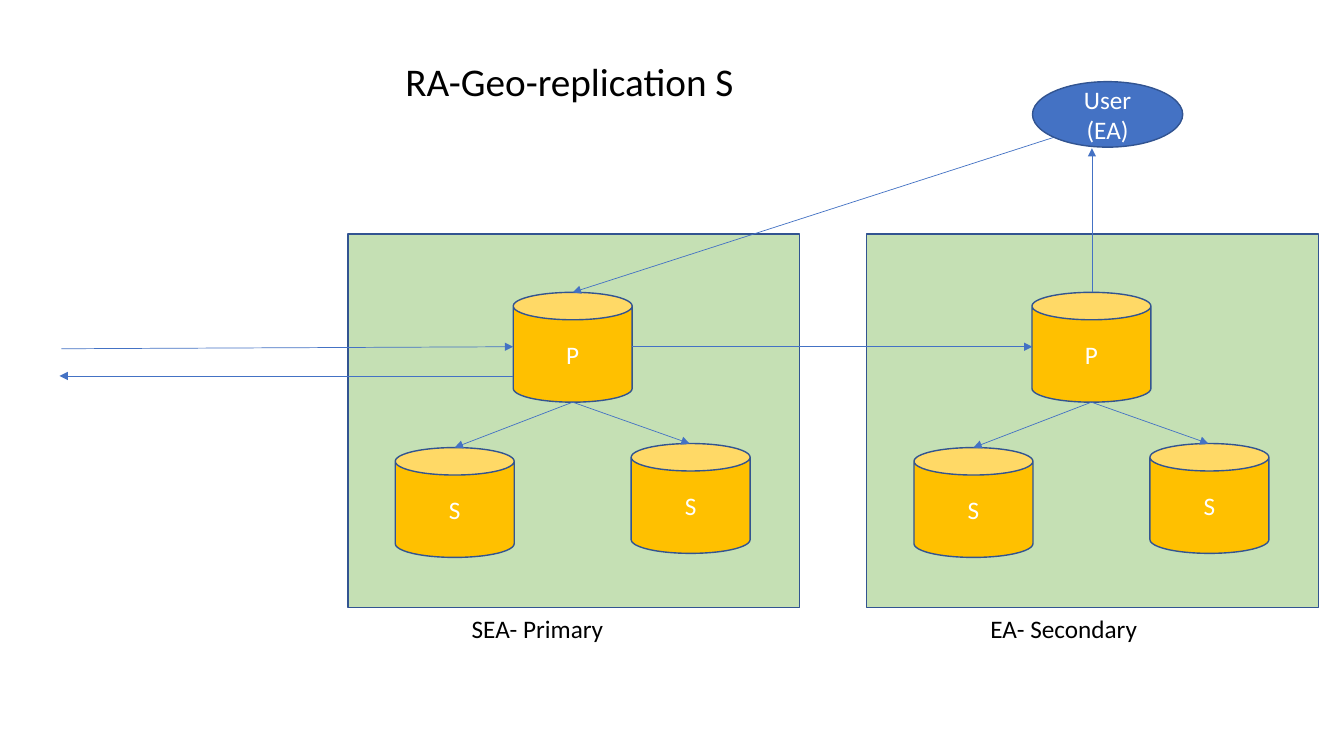
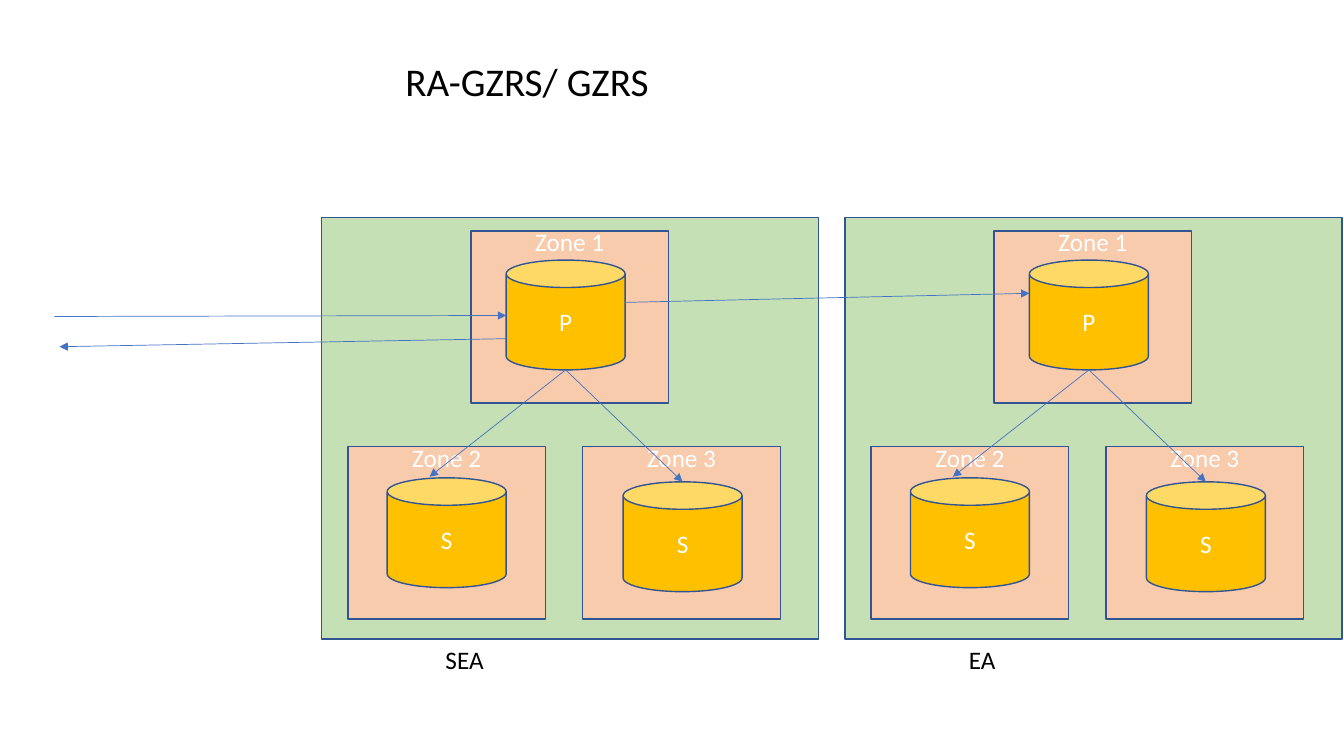
from dataclasses import dataclass, replace

from lxml import etree
from pptx import Presentation
from pptx.dml.color import RGBColor
from pptx.enum.shapes import MSO_CONNECTOR, MSO_SHAPE
from pptx.enum.text import MSO_ANCHOR, MSO_AUTO_SIZE, PP_ALIGN
from pptx.oxml.ns import qn
from pptx.slide import Slide
from pptx.text.text import TextFrame
from pptx.util import Inches, Length, Pt

RECTANGLE, CAN, ELLIPSE = MSO_SHAPE.RECTANGLE, MSO_SHAPE.CAN, MSO_SHAPE.OVAL
STRAIGHT = MSO_CONNECTOR.STRAIGHT
TOP, MIDDLE = MSO_ANCHOR.TOP, MSO_ANCHOR.MIDDLE
LEFT, CENTER = PP_ALIGN.LEFT, PP_ALIGN.CENTER
GROW = MSO_AUTO_SIZE.SHAPE_TO_FIT_TEXT

FONT = "Calibri"
BLACK, WHITE = "000000", "FFFFFF"
BLUE, OUTLINE = "4472C4", "325491"
GREEN, PEACH, GOLD = "C5E0B4", "F8CBAD", "FFC000"
TITLE_SIZE, TEXT_SIZE = 28, 18
TITLE_ONLY = 5
CAN_WIDTH, CAN_HEIGHT = 1.18, 1.09
ZONE_WIDTH, ZONE_HEIGHT = 1.96, 1.71
ZONE_LABEL_SPACING = 0.87


@dataclass(frozen=True)
class Box:
    left: float
    top: float
    width: float
    height: float

    def lengths(self) -> tuple[Length, ...]:
        return tuple(
            Inches(value)
            for value in (self.left, self.top, self.width, self.height)
        )

    def shifted(self, distance: float) -> "Box":
        return replace(self, left=self.left + distance)


@dataclass(frozen=True)
class Node:
    text: str
    left: float
    top: float


@dataclass(frozen=True)
class Arrow:
    start: tuple[float, float]
    end: tuple[float, float]


@dataclass(frozen=True)
class Region:
    area: Box
    label: Box
    zones: tuple[Node, ...]
    stores: tuple[Node, ...]
    fan_start: tuple[float, float]
    fan_ends: tuple[tuple[float, float], ...]


@dataclass(frozen=True)
class Diagram:
    title: str
    region: Region
    region_names: tuple[str, ...]
    region_step: float
    arrows: tuple[Arrow, ...]


TITLE_BOX = Box(3.92, 0.52, 5.17, 0.57)
USER_BOX = Box(10.24, 0.81, 1.49, 0.65)

GEO_DIAGRAM = Diagram(
    title="RA-Geo-replication S",
    region=Region(
        area=Box(3.45, 2.32, 4.48, 3.71),
        label=Box(4.58, 6.04, 2.39, 0.4),
        zones=(),
        stores=(Node("P", 5.09, 2.9), Node("S", 3.92, 4.44), Node("S", 6.26, 4.4)),
        fan_start=(5.68, 3.99),
        fan_ends=((4.51, 4.44), (6.84, 4.4)),
    ),
    region_names=("SEA- Primary", "EA- Secondary"),
    region_step=5.145,
    arrows=(
        Arrow((0.61, 3.46), (5.09, 3.44)),
        Arrow((5.09, 3.73), (0.59, 3.73)),
        Arrow((6.27, 3.44), (10.24, 3.44)),
        Arrow((10.83, 2.9), (10.83, 1.47)),
        Arrow((10.46, 1.36), (5.68, 2.9)),
    ),
)

ZONE_DIAGRAM = Diagram(
    title="RA-GZRS/ GZRS",
    region=Region(
        area=Box(3.19, 2.16, 4.93, 4.18),
        label=Box(4.32, 6.34, 2.39, 0.4),
        zones=(
            Node("Zone 1", 4.67, 2.29),
            Node("Zone 2", 3.45, 4.43),
            Node("Zone 3", 5.78, 4.43),
        ),
        stores=(Node("P", 5.02, 2.58), Node("S", 3.84, 4.74), Node("S", 6.18, 4.78)),
        fan_start=(5.61, 3.67),
        fan_ends=((4.26, 4.73), (6.77, 4.78)),
    ),
    region_names=("SEA", "EA"),
    region_step=5.19,
    arrows=(
        Arrow((0.54, 3.14), (5.02, 3.13)),
        Arrow((5.02, 3.36), (0.59, 3.44)),
        Arrow((6.2, 3), (10.21, 2.91)),
    ),
)


def color(value: str) -> RGBColor:
    return RGBColor.from_string(value)


def write(
    frame: TextFrame,
    text: str,
    size: int,
    ink: str,
    align: PP_ALIGN,
    anchor: MSO_ANCHOR,
) -> None:
    frame.word_wrap = True
    frame.vertical_anchor = anchor
    frame.text = text
    for para in frame.paragraphs:
        para.alignment = align
        para.font.name = FONT
        para.font.size = Pt(size)
        para.font.color.rgb = color(ink)


def add_figure(
    page: Slide,
    kind: MSO_SHAPE,
    box: Box,
    fill: str,
    text: str = "",
    anchor: MSO_ANCHOR = MIDDLE,
) -> TextFrame:
    figure = page.shapes.add_shape(kind, *box.lengths())
    figure.shadow.inherit = False
    figure.fill.solid()
    figure.fill.fore_color.rgb = color(fill)
    figure.line.color.rgb = color(OUTLINE)
    figure.line.width = Pt(1)
    if text:
        write(figure.text_frame, text, TEXT_SIZE, WHITE, CENTER, anchor)
    return figure.text_frame


def add_zone(page: Slide, zone: Node, shift: float) -> None:
    box = Box(zone.left, zone.top, ZONE_WIDTH, ZONE_HEIGHT).shifted(shift)
    frame = add_figure(page, RECTANGLE, box, PEACH, zone.text, TOP)
    frame.margin_top = Inches(0)
    frame.paragraphs[0].line_spacing = ZONE_LABEL_SPACING


def add_arrow(page: Slide, arrow: Arrow) -> None:
    points = (Inches(value) for value in (*arrow.start, *arrow.end))
    connector = page.shapes.add_connector(STRAIGHT, *points)
    connector.line.color.rgb = color(BLUE)
    connector.line.width = Pt(0.5)
    outline = connector.line._get_or_add_ln()
    etree.SubElement(outline, qn("a:tailEnd"), type="triangle")
    etree.SubElement(connector._element.spPr, qn("a:effectLst"))


def add_region(page: Slide, region: Region, name: str, shift: float) -> None:
    add_figure(page, RECTANGLE, region.area.shifted(shift), GREEN)
    label = page.shapes.add_textbox(*region.label.shifted(shift).lengths())
    write(label.text_frame, name, TEXT_SIZE, BLACK, LEFT, TOP)
    label.text_frame.auto_size = GROW
    for zone in region.zones:
        add_zone(page, zone, shift)
    for store in region.stores:
        box = Box(store.left, store.top, CAN_WIDTH, CAN_HEIGHT).shifted(shift)
        add_figure(page, CAN, box, GOLD, store.text)
    start_x, start_y = region.fan_start
    for end_x, end_y in region.fan_ends:
        add_arrow(page, Arrow((start_x + shift, start_y), (end_x + shift, end_y)))


def add_title(page: Slide, text: str) -> None:
    title = page.shapes.title
    title.left, title.top, title.width, title.height = TITLE_BOX.lengths()
    write(title.text_frame, text, TITLE_SIZE, BLACK, LEFT, TOP)
    title.text_frame.auto_size = GROW


def add_diagram(deck: Presentation, diagram: Diagram) -> Slide:
    page = deck.slides.add_slide(deck.slide_layouts[TITLE_ONLY])
    add_title(page, diagram.title)
    for index, name in enumerate(diagram.region_names):
        add_region(page, diagram.region, name, index * diagram.region_step)
    for arrow in diagram.arrows:
        add_arrow(page, arrow)
    return page


deck = Presentation()
deck.slide_width, deck.slide_height = Inches(13.33), Inches(7.5)
geo_page = add_diagram(deck, GEO_DIAGRAM)
add_figure(geo_page, ELLIPSE, USER_BOX, BLUE, "User\n(EA)")
add_diagram(deck, ZONE_DIAGRAM)
deck.save("out.pptx")
